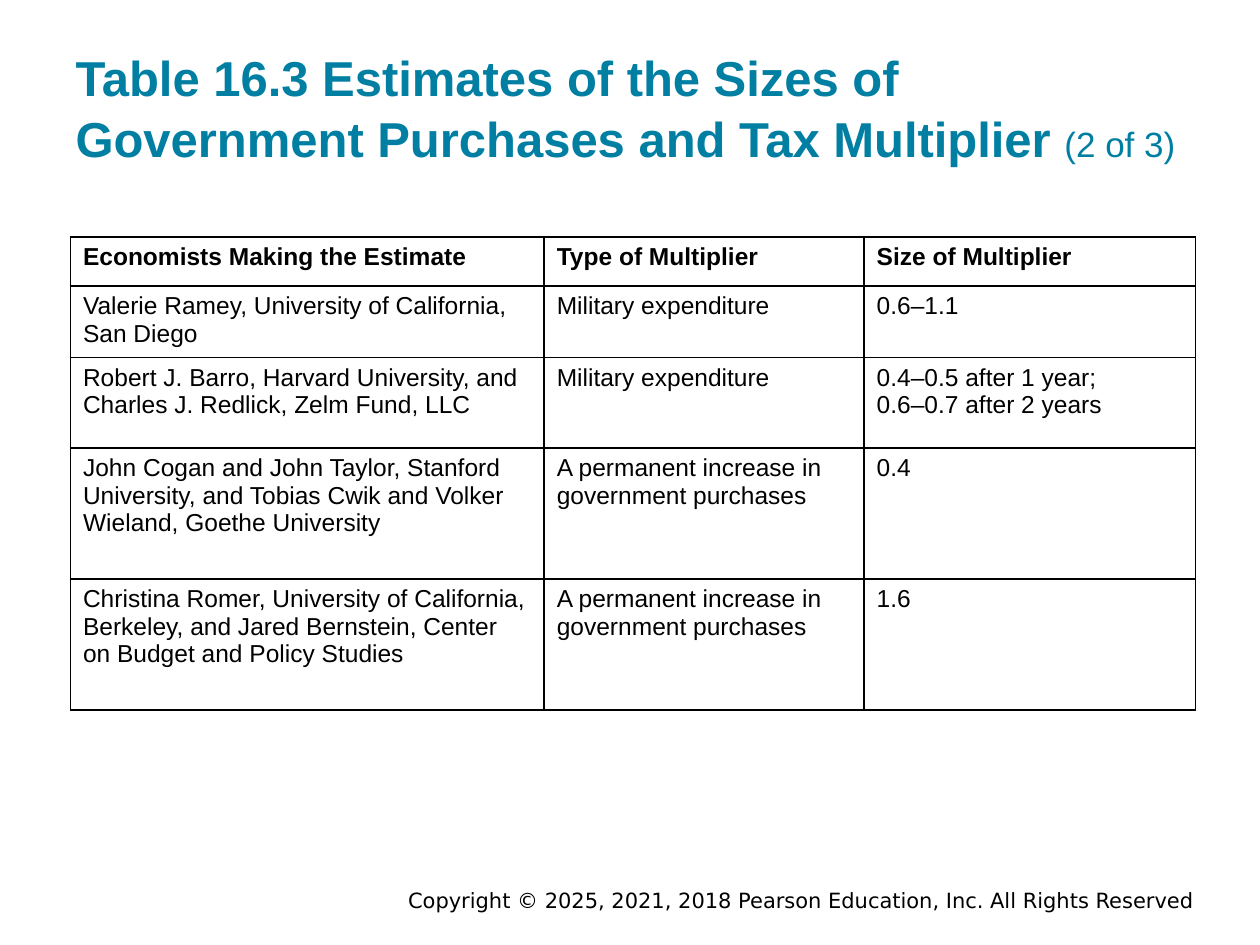
from lxml import etree
from pptx import Presentation
from pptx.dml.color import RGBColor
from pptx.enum.text import MSO_ANCHOR, MSO_AUTO_SIZE, PP_ALIGN
from pptx.oxml.ns import qn
from pptx.util import Cm, Pt

LEFT, RIGHT = PP_ALIGN.LEFT, PP_ALIGN.RIGHT
MIDDLE, BOTTOM = MSO_ANCHOR.MIDDLE, MSO_ANCHOR.BOTTOM
NO_AUTOFIT = MSO_AUTO_SIZE.NONE

COLORS = {"title": "007FA3", "text": "000000", "border": "000000"}
COLUMN_WIDTHS = (9.55, 6.45, 6.68)
ROW_HEIGHTS = (0.99, 1.4, 1.82, 2.64, 2.64)
ROWS = (
    ("Economists Making the Estimate", "Type of Multiplier", "Size of Multiplier"),
    ("Valerie Ramey, University of California, San Diego",
     "Military expenditure", "0.6–1.1"),
    ("Robert J. Barro, Harvard University, and Charles J. Redlick, Zelm Fund, LLC",
     "Military expenditure", "0.4–0.5 after 1 year;\n0.6–0.7 after 2 years"),
    ("John Cogan and John Taylor, Stanford University, and Tobias Cwik "
     "and Volker Wieland, Goethe University",
     "A permanent increase in government purchases", "0.4"),
    ("Christina Romer, University of California, Berkeley, and Jared Bernstein, "
     "Center on Budget and Policy Studies",
     "A permanent increase in government purchases", "1.6"),
)


def format_run(run, size, color, bold=False, font_name="Arial"):
    """Set the font of one run."""
    run.font.name = font_name
    run.font.size = Pt(size)
    run.font.bold = bold
    run.font.color.rgb = RGBColor.from_string(COLORS[color])


def add_border(cell):
    """Draw a thin solid line on all four sides of a cell."""
    properties = cell._tc.get_or_add_tcPr()
    for side in ("a:lnL", "a:lnR", "a:lnT", "a:lnB"):
        line = etree.SubElement(properties, qn(side), w=str(Pt(1)))
        fill = etree.SubElement(line, qn("a:solidFill"))
        etree.SubElement(fill, qn("a:srgbClr"), val=COLORS["border"])


def fill_title(slide, left, top, width, height):
    """Place the title with its smaller part number."""
    title = slide.shapes.title
    title.left, title.top = Cm(left), Cm(top)
    title.width, title.height = Cm(width), Cm(height)
    frame = title.text_frame
    frame.auto_size = NO_AUTOFIT
    frame.vertical_anchor = BOTTOM
    frame.margin_top = frame.margin_bottom = Cm(0.25)
    frame.text = "Table 16.3 Estimates of the Sizes of Government Purchases and Tax Multiplier "
    paragraph = frame.paragraphs[0]
    paragraph.alignment = LEFT
    paragraph.line_spacing = 1.05
    part_number = paragraph.add_run()
    part_number.text = "(2 of 3)"
    format_run(paragraph.runs[0], 28, "title", bold=True)
    format_run(part_number, 20, "title")


def add_multiplier_table(slide, left, top):
    """Add the bordered table of multiplier estimates."""
    frame = slide.shapes.add_table(
        len(ROWS), len(COLUMN_WIDTHS), Cm(left), Cm(top),
        Cm(sum(COLUMN_WIDTHS)), Cm(sum(ROW_HEIGHTS)))
    table = frame.table
    table.horz_banding = False
    for column, width in zip(table.columns, COLUMN_WIDTHS):
        column.width = Cm(width)
    for row_index, (row, height, texts) in enumerate(zip(table.rows, ROW_HEIGHTS, ROWS)):
        row.height = Cm(height)
        for cell, text in zip(row.cells, texts):
            add_border(cell)
            cell.fill.background()
            cell.text_frame.text = text
            for paragraph in cell.text_frame.paragraphs:
                format_run(paragraph.runs[0], 14, "text", bold=row_index == 0)


def add_copyright(slide, left, top, width, height):
    """Add the right-aligned copyright line."""
    box = slide.shapes.add_textbox(Cm(left), Cm(top), Cm(width), Cm(height))
    frame = box.text_frame
    frame.word_wrap = True
    frame.vertical_anchor = MIDDLE
    frame.text = "Copyright © 2025, 2021, 2018 Pearson Education, Inc. All Rights Reserved"
    paragraph = frame.paragraphs[0]
    paragraph.alignment = RIGHT
    format_run(paragraph.runs[0], 12, "text", font_name="DejaVu Sans")


def main():
    """Build the slide and save it."""
    presentation = Presentation()
    presentation.slide_width, presentation.slide_height = Cm(25.4), Cm(19.05)
    slide = presentation.slides.add_slide(presentation.slide_layouts[5])
    add_copyright(slide, 4.45, 17.86, 19.88, 0.56)
    fill_title(slide, 1.27, 0.61, 23.06, 3.02)
    add_multiplier_table(slide, 1.42, 4.78)
    presentation.save("out.pptx")


if __name__ == "__main__":
    main()
